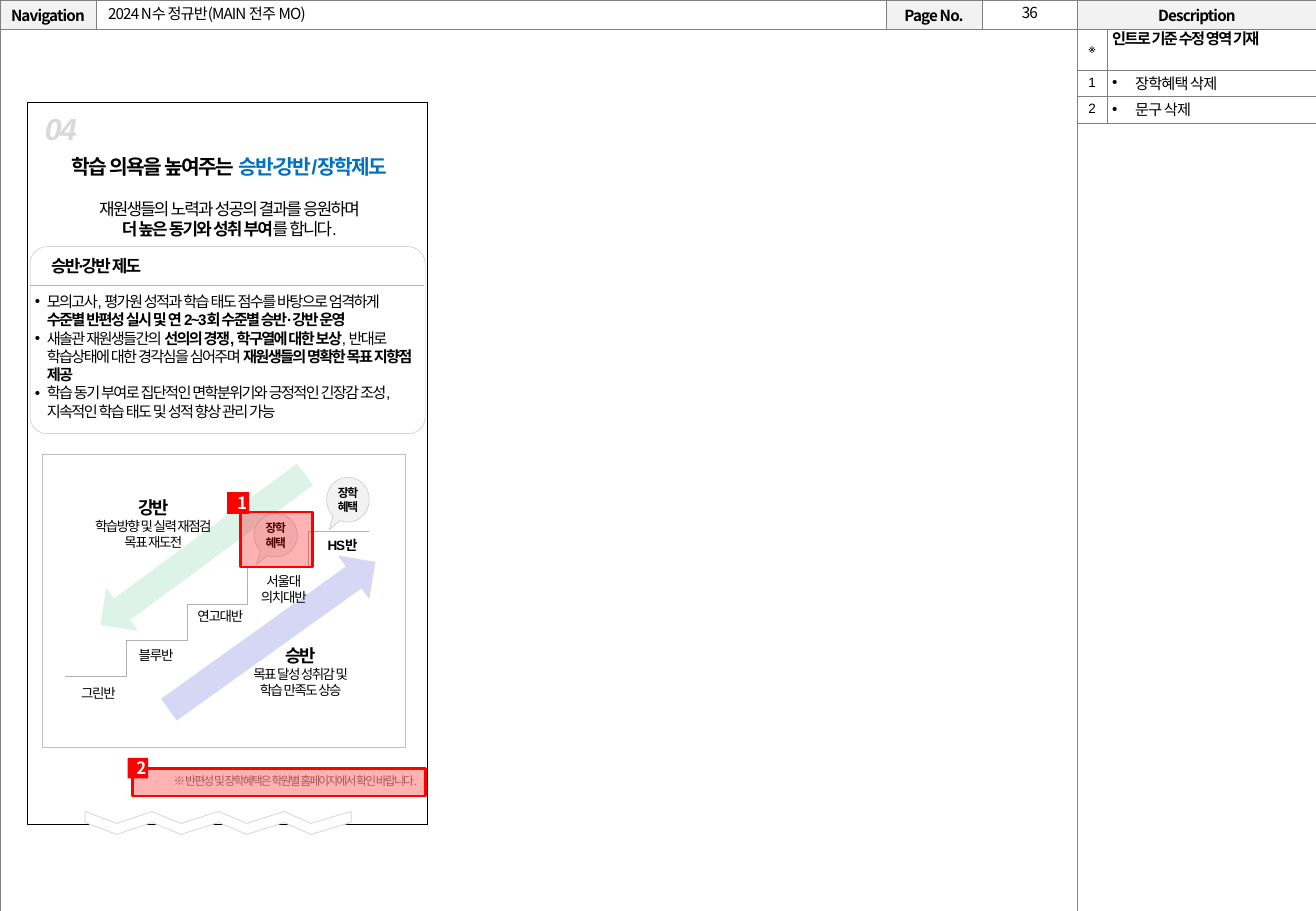
from lxml import etree
from pptx import Presentation
from pptx import util as u
from pptx.dml.color import RGBColor
from pptx.enum import shapes, text
from pptx.oxml.ns import qn

KIND = shapes.MSO_SHAPE
LEFT, MID, RIGHT = text.PP_ALIGN.LEFT, text.PP_ALIGN.CENTER, text.PP_ALIGN.RIGHT
TOP, HALF = text.MSO_ANCHOR.TOP, text.MSO_ANCHOR.MIDDLE
NOTO = "Noto Sans CJK KR"
RED, GREY, PALE = "FF0000", "BFBFBF", "F2F2F2"
BOLD = {"bold": True}


def tint(code):
    return RGBColor.from_string(code)


def node(root, tag, **attrs):
    return etree.SubElement(root, qn(tag), **attrs)


class Page:
    """Holds the style and the current slide."""
    base = dict(size=9, font="Arial", color="000000", bold=False, slant=False, track=-1)

    def __init__(self, deck):
        self.slide = deck.slides.add_slide(deck.slide_layouts[6])
        self.items = self.slide.shapes

    def fill_text(self, frame, paras, align=LEFT, dent=0, lead=None, gaps=(), **style):
        """A paragraph is a list of runs; a run is a string or (string, style)."""
        for i, runs in enumerate(paras):
            para = frame.paragraphs[0] if i == 0 else frame.add_paragraph()
            para.alignment = align
            if lead:
                para.line_spacing = lead
            if i and i < len(gaps):
                para.space_before = u.Pt(gaps[i])
            if dent:
                props = para._p.get_or_add_pPr()
                props.set("marL", str(u.Cm(dent)))
                props.set("indent", str(-u.Cm(dent)))
                node(props, "a:buFont", typeface="Arial")
                node(props, "a:buChar", char="•")
            for part in runs:
                words, more = (part, {}) if isinstance(part, str) else part
                look = {**self.base, **style, **more}
                run = para.add_run()
                run.text = words
                font = run.font
                font.size, font.bold, font.italic = u.Pt(look["size"]), look["bold"], look["slant"]
                font.color.rgb = tint(look["color"])
                font.name = look["font"]
                props = run._r.get_or_add_rPr()
                node(props, "a:ea", typeface=look["font"])
                props.set("spc", str(int(look["track"] * 100)))

    def label(self, box, paras, anchor=TOP, grow=True, **style):
        frame = self.items.add_textbox(*map(u.Cm, box)).text_frame
        frame.word_wrap = True
        frame.vertical_anchor = anchor
        if grow:
            frame.auto_size = text.MSO_AUTO_SIZE.SHAPE_TO_FIT_TEXT
        self.fill_text(frame, paras, **style)

    def paint(self, item, fill, line, width, clear=None):
        item.shadow.inherit = False
        if fill:
            item.fill.solid()
            item.fill.fore_color.rgb = tint(fill)
            if clear:
                hue = item._element.spPr.find(qn("a:solidFill"))[0]
                node(hue, "a:alpha", val=str(clear * 1000))
        else:
            item.fill.background()
        if line:
            item.line.color.rgb = tint(line)
            item.line.width = u.Pt(width)
        else:
            item.line.fill.background()
        return item

    def shape(self, kind, box, fill=None, line=None, width=0.25, clear=None, turn=0, tune=()):
        item = self.items.add_shape(kind, *map(u.Cm, box))
        item.rotation = turn
        for i, val in enumerate(tune):
            item.adjustments[i] = val
        return self.paint(item, fill, line, width, clear)

    def outline(self, spots, fill, line, width):
        spots = [(u.Cm(x), u.Cm(y)) for x, y in spots]
        build = self.items.build_freeform(*spots[0])
        build.add_line_segments(spots[1:], close=True)
        self.paint(build.convert_to_shape(), fill, line, width)

    def join(self, kind, start, end, color="B2B2B2"):
        item = self.items.add_connector(kind, *map(u.Cm, start + end))
        item.line.color.rgb = tint(color)
        item.line.width = u.Pt(0.25)
        node(item._element.spPr, "a:effectLst")

    def badge(self, box, mark):
        frame = self.shape(KIND.RECTANGLE, box, RED).text_frame
        frame.vertical_anchor = HALF
        self.fill_text(frame, [[mark]], MID, size=10, font=NOTO, color="FFFFFF", bold=True, track=0)

    def bubble(self, box):
        frame = self.shape(KIND.OVAL_CALLOUT, box, PALE, GREY, tune=(-0.44, 0.67)).text_frame
        frame.vertical_anchor = HALF
        frame.word_wrap = False
        self.fill_text(frame, [["장학"], ["혜택"]], MID, size=7, bold=True, track=-0.8)

    def table(self, left, top, cols, rows):
        grid = self.items.add_table(len(rows), len(cols), u.Cm(left), u.Cm(top),
                                    u.Cm(sum(cols)), u.Cm(sum(rows))).table
        grid.first_row = grid.horz_banding = False
        for col, size in zip(grid.columns, cols):
            col.width = u.Cm(size)
        for row, size in zip(grid.rows, rows):
            row.height = u.Cm(size)
        return grid

    def cell(self, cell, paras=(), fill=None, pad=(0, 0), anchor=HALF, **style):
        cell.margin_left = cell.margin_right = u.Cm(pad[0])
        cell.margin_top = cell.margin_bottom = u.Cm(pad[1])
        cell.vertical_anchor = anchor
        props = cell._tc.get_or_add_tcPr()
        for side in ("a:lnL", "a:lnR", "a:lnT", "a:lnB"):
            edge = node(props, side, w=str(u.Pt(0.25)))
            node(node(edge, "a:solidFill"), "a:srgbClr", val="808080")
        if fill:
            cell.fill.solid()
            cell.fill.fore_color.rgb = tint(fill)
        else:
            cell.fill.background()
        if paras:
            self.fill_text(cell.text_frame, paras, **style)
        else:
            node(cell.text_frame.paragraphs[0]._p, "a:endParaRPr", sz="900")


def main():
    deck = Presentation()
    deck.slide_width, deck.slide_height = u.Cm(27.51), u.Cm(19.05)
    page = Page(deck)

    # Page grid and header
    grid = page.table(0, 0, [2, 16.52, 2.01, 1.99, 5], [0.61, 18.46])
    for i, name in enumerate(["Navigation", "", "Page No.", "", "Description"]):
        page.cell(grid.cell(0, i), [[name]] if name else (), PALE if name else "FFFFFF",
                  align=MID, font=NOTO, bold=True, track=-0.5)
        page.cell(grid.cell(1, i), fill="FFFFFF")
    grid.cell(1, 0).merge(grid.cell(1, 3))
    page.label((20.55, -0.05, 1.96, 0.64), [["36"]], align=MID, font=NOTO, track=-0.5)
    page.label((2.01, 0, 16.5, 0.58), [["2024 N수 정규반(MAIN 전주 MO)"]], HALF, False,
               font=NOTO, track=-0.5)

    # Heading and class rule card
    page.label((0.3, 3.1, 8.99, 2.06), [
        [("학습 의욕을 높여주는 ", {"size": 12, **BOLD}),
         ("승반∙강반/장학제도", {"size": 12, "color": "0070C0", **BOLD})],
        ["재원생들의 노력과 성공의 결과를 응원하며"],
        [("더 높은 동기와 성취 부여", BOLD), "를 합니다."],
    ], align=MID, size=10, gaps=(0, 12))
    page.shape(KIND.ROUNDED_RECTANGLE, (0.63, 5.16, 8.26, 3.91), "FFFFFF", GREY, tune=(0.09,))
    page.join(shapes.MSO_CONNECTOR.STRAIGHT, (0.63, 5.97), (8.87, 5.97))
    page.label((0.03, 5.23, 3.96, 0.69), [["승반∙강반 제도"]], align=MID, size=10, bold=True)

    # Phone frame with torn edge
    page.shape(KIND.RECTANGLE, (0.58, 2.13, 8.36, 15.11), line="000000")
    wave = [(x, 16.97 + 0.25 * (i % 2)) for i, x in
            enumerate([1.78, 2.44, 3.18, 3.78, 4.57, 5.16, 5.94, 6.5, 7.34])]
    page.outline([(x, y + 0.23) for x, y in wave] + wave[::-1], "FFFFFF", "D9D9D9", 0.5)
    page.label((0.69, 2.18, 2.21, 1.02), [["04"]], size=18, color="D9D9D9", bold=True, slant=True)
    page.label((2.44, 16.05, 6.53, 0.56), [["※ 반편성 및 장학혜택은 학원별 홈페이지에서 확인 바랍니다."]],
               align=RIGHT, size=7, color="808080")
    page.label((0.48, 5.99, 8.41, 2.95), [
        ["모의고사, 평가원 성적과 학습 태도 점수를 바탕으로 엄격하게 ",
         ("수준별 반편성 실시 및 연 2~3회 수준별 승반·강반 운영", BOLD)],
        ["새솔관 재원생들간의 ", ("선의의 경쟁, 학구열에 대한 보상", BOLD),
         ", 반대로 학습상태에 대한 경각심을 심어주며 ", ("재원생들의 명확한 목표 지향점 제공", BOLD)],
        ["학습 동기 부여로 집단적인 면학분위기와 긍정적인 긴장감 조성, 지속적인 학습 태도 및 성적 향상 관리 가능"],
    ], grow=False, dent=0.25)
    page.shape(KIND.RECTANGLE, (2.77, 16.07, 6.13, 0.58), RED, RED, 1.5, 30)
    page.badge((2.67, 15.85, 0.43, 0.43), "2")

    # Description list
    notes = page.table(22.51, 0.6, [0.64, 4.36], [0.86, 0.56, 0.55])
    pad = (0.1, 0.07)
    for i, (mark, words) in enumerate([("※", "인트로 기준 수정 영역 기재"),
                                       ("1", "장학혜택 삭제"), ("2", "문구 삭제")]):
        page.cell(notes.cell(i, 0), [[mark]], pad=pad, align=MID, lead=0.9, size=8)
        look = dict(dent=0.48, track=-0.5, font=NOTO) if i else dict(anchor=TOP, bold=True)
        page.cell(notes.cell(i, 1), [[words]], pad=pad, lead=0.9, **look)

    # Class ladder diagram
    page.shape(KIND.RECTANGLE, (0.89, 9.5, 7.59, 6.12), "FFFFFF", GREY)

    def trend(spot, head, *lines):
        page.label((*spot, 3.38, 1.4), [[(head, {"size": 10.5, **BOLD})]] + [[s] for s in lines],
                   align=MID, size=8)

    trend((4.6, 13.36), "승반", "목표 달성 성취감 및", "학습 만족도 상승")
    page.shape(KIND.UP_ARROW, (3.68, 8.84, 1.12, 5.31), "DDF3EA", turn=233.6)
    trend((1.52, 10.26), "강반", "학습방향 및 실력 재점검", "목표 재도전")
    page.badge((4.75, 10.29, 0.46, 0.46), "1")
    page.shape(KIND.UP_ARROW, (5.13, 10.64, 1.12, 5.31), "D6D6F5", turn=54.4)
    for i in range(4):
        x, y = 1.37 + 1.27 * i, 14.15 - 0.76 * i
        page.join(shapes.MSO_CONNECTOR.ELBOW, (x + 2.54, y - 0.76), (x, y))
    for box, lines, bold in [
            ((1.4, 14.2, 1.32, 0.61), ["그린반"], False),
            ((2.44, 13.41, 1.65, 0.61), ["블루반"], False),
            ((3.71, 12.6, 1.8, 0.61), ["연고대반"], False),
            ((5.16, 11.86, 1.55, 0.94), ["서울대", "의치대반"], False),
            ((6.53, 11.1, 1.27, 0.61), ["HS반"], True)]:
        page.label(box, [[s] for s in lines], align=MID, size=8, bold=bold, track=-0.8)
    page.bubble((6.83, 9.98, 0.89, 0.94))
    page.bubble((5.31, 10.74, 0.91, 0.91))
    page.shape(KIND.RECTANGLE, (5.03, 10.71, 1.5, 1.15), RED, RED, 1.5, 30)

    deck.save("out.pptx")


if __name__ == "__main__":
    main()
